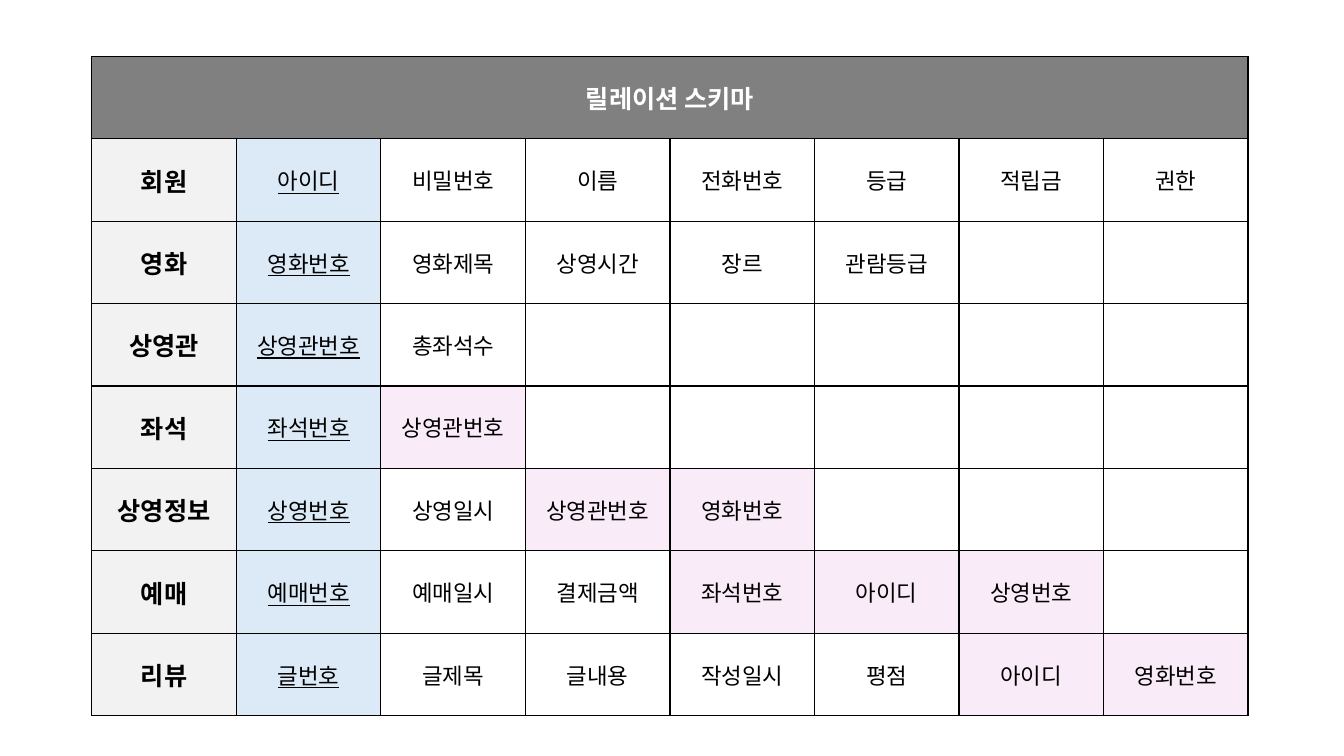
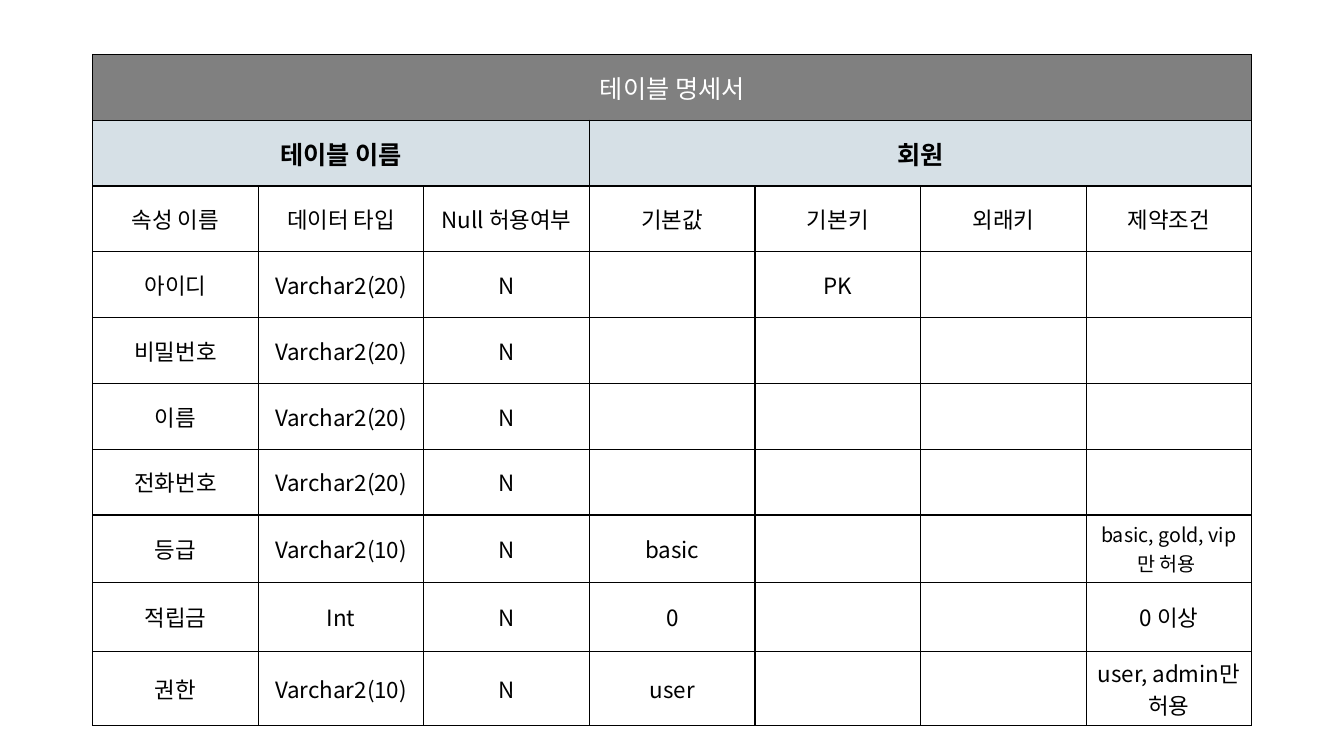
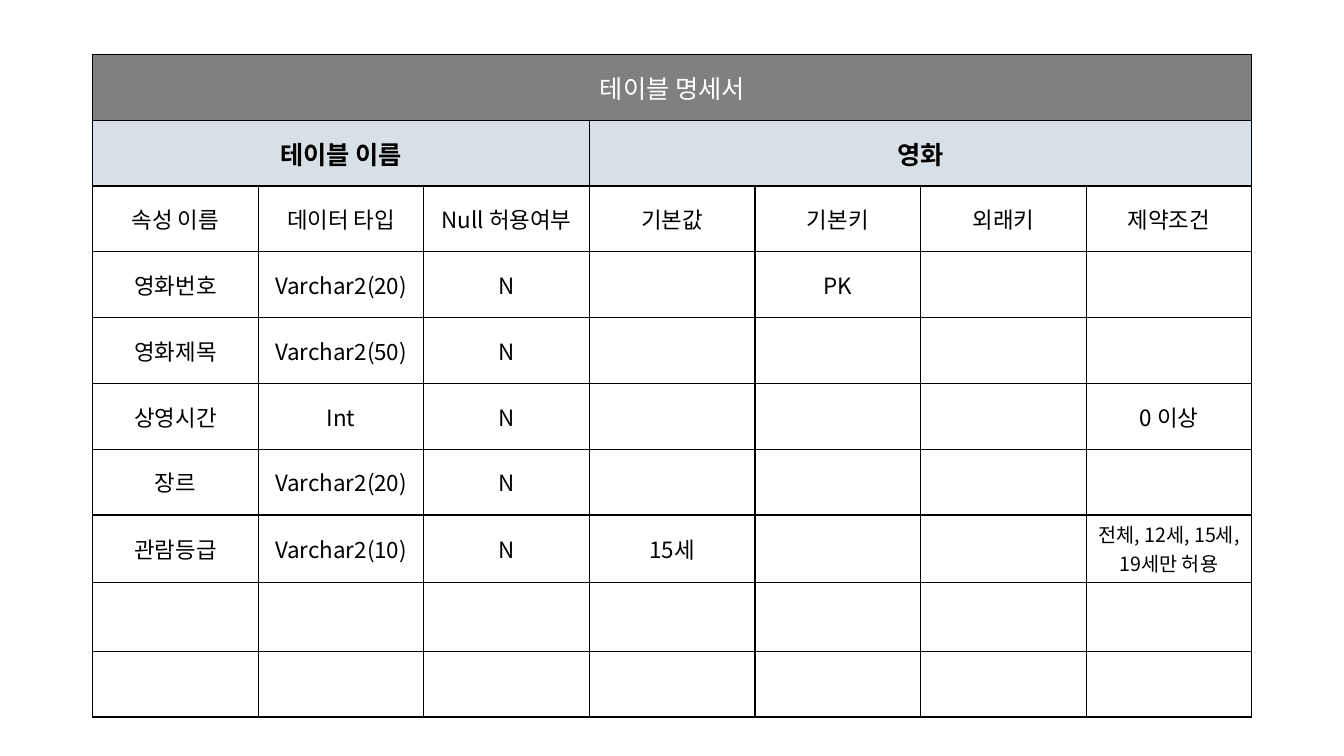
from dataclasses import dataclass

from lxml import etree
from pptx import Presentation
from pptx import util as u
from pptx.dml.color import RGBColor
from pptx.enum import text
from pptx.oxml import ns


@dataclass(frozen=True)
class Theme:
    font: str = "Noto Sans CJK KR"
    ink: str = "000000"
    paper: str = "FFFFFF"
    head: str = "808080"
    name: str = "F2F2F2"
    key: str = "DCEAF7"
    link: str = "F9EBF7"
    band: str = "D6E0E6"
    large: int = 18
    body: int = 16
    small: int = 14
    rule: int = 1


class Deck:
    def __init__(self, theme):
        self.theme = theme
        self.file = Presentation()
        self.file.slide_width = u.Inches(13.33)
        self.file.slide_height = u.Inches(7.5)
        self.slide = None

    def page(self):
        self.slide = self.file.slides.add_slide(self.file.slide_layouts[6])

    def grid(self, rows, cols, area, shares=None):
        wide, high = self.file.slide_width, self.file.slide_height
        x, y, w, h = (int(part * full / 100)
                      for part, full in zip(area, (wide, high, wide, high)))
        table = self.slide.shapes.add_table(rows, cols, x, y, w, h).table
        table.first_row = table.horz_banding = False
        shares = shares or [1] * rows
        for row, share in zip(table.rows, shares):
            row.height = int(h * share / sum(shares))
        for col in table.columns:
            col.width = w // cols
        for cell in table.iter_cells():
            self.edge(cell)
            self.tint(cell, self.theme.paper)
        return table

    def edge(self, cell):
        props = cell._tc.get_or_add_tcPr()
        for side in "LRTB":
            line = etree.SubElement(props, ns.qn(f"a:ln{side}"),
                                    w=str(u.Pt(self.theme.rule)))
            fill = etree.SubElement(line, ns.qn("a:solidFill"))
            etree.SubElement(fill, ns.qn("a:srgbClr"), val=self.theme.ink)

    def tint(self, cell, color):
        cell.fill.solid()
        cell.fill.fore_color.rgb = RGBColor.from_string(color)

    def label(self, cell, words, size=None, color=None, fill=None,
              bold=False, under=False):
        if fill:
            self.tint(cell, fill)
        cell.vertical_anchor = text.MSO_ANCHOR.MIDDLE
        cell.text_frame.text = words
        para = cell.text_frame.paragraphs[0]
        para.alignment = text.PP_ALIGN.CENTER
        for run in para.runs:
            font = run.font
            font.name = self.theme.font
            font.size = u.Pt(size or self.theme.body)
            font.bold, font.underline = bold, under
            font.color.rgb = RGBColor.from_string(color or self.theme.ink)
            latin = run._r.rPr.find(ns.qn("a:latin"))
            latin.addnext(etree.Element(ns.qn("a:ea"), typeface=self.theme.font))

    def span(self, table, row, first, last, words, **style):
        cell = table.cell(row, first)
        cell.merge(table.cell(row, last))
        self.label(cell, words, size=self.theme.large, **style)

    def schema(self, title, lines):
        look = self.theme
        self.page()
        table = self.grid(len(lines) + 1, 8, (6.83, 7.47, 86.03, 87.2))
        self.span(table, 0, 0, 7, title, color=look.paper, fill=look.head,
                  bold=True)
        for row, line in enumerate(lines, 1):
            name, key, *rest = line.split()
            self.label(table.cell(row, 0), name, size=look.large,
                       fill=look.name, bold=True)
            self.label(table.cell(row, 1), key, fill=look.key, under=True)
            for col, words in enumerate(rest, 2):
                fill = look.link if words.startswith("*") else look.paper
                self.label(table.cell(row, col), words.lstrip("*"), fill=fill)

    def detail(self, name, fields):
        look = self.theme
        self.page()
        table = self.grid(10, 7, (6.9, 7.2, 86.25, 87.47),
                          [0.65] * 8 + [0.68, 0.65])
        self.span(table, 0, 0, 6, "테이블 명세서", color=look.paper,
                  fill=look.head)
        self.span(table, 1, 0, 2, "테이블 이름", fill=look.band, bold=True)
        self.span(table, 1, 3, 6, name, fill=look.band, bold=True)
        for row, line in enumerate([HEADS] + fields, 2):
            for col, words in enumerate(line.split("|")):
                size = look.small if len(words) > 20 else look.body
                self.label(table.cell(row, col), words, size=size)


HEADS = "속성 이름|데이터 타입|Null 허용여부|기본값|기본키|외래키|제약조건"

SCHEMA = [
    "회원 아이디 비밀번호 이름 전화번호 등급 적립금 권한",
    "영화 영화번호 영화제목 상영시간 장르 관람등급",
    "상영관 상영관번호 총좌석수",
    "좌석 좌석번호 *상영관번호",
    "상영정보 상영번호 상영일시 *상영관번호 *영화번호",
    "예매 예매번호 예매일시 결제금액 *좌석번호 *아이디 *상영번호",
    "리뷰 글번호 글제목 글내용 작성일시 평점 *아이디 *영화번호",
]

TABLES = {
    "회원": [
        "아이디|Varchar2(20)|N||PK",
        "비밀번호|Varchar2(20)|N",
        "이름|Varchar2(20)|N",
        "전화번호|Varchar2(20)|N",
        "등급|Varchar2(10)|N|basic|||basic, gold, vip만 허용 ",
        "적립금|Int|N|0|||0 이상",
        "권한|Varchar2(10)|N|user|||user, admin만 허용",
    ],
    "영화": [
        "영화번호|Varchar2(20)|N||PK",
        "영화제목|Varchar2(50)|N",
        "상영시간|Int|N||||0 이상",
        "장르|Varchar2(20)|N",
        "관람등급|Varchar2(10)|N|15세|||전체, 12세, 15세, 19세만 허용",
    ],
}


def main():
    deck = Deck(Theme())
    deck.schema("릴레이션 스키마", SCHEMA)
    for name, fields in TABLES.items():
        deck.detail(name, fields)
    deck.file.save("out.pptx")


if __name__ == "__main__":
    main()
